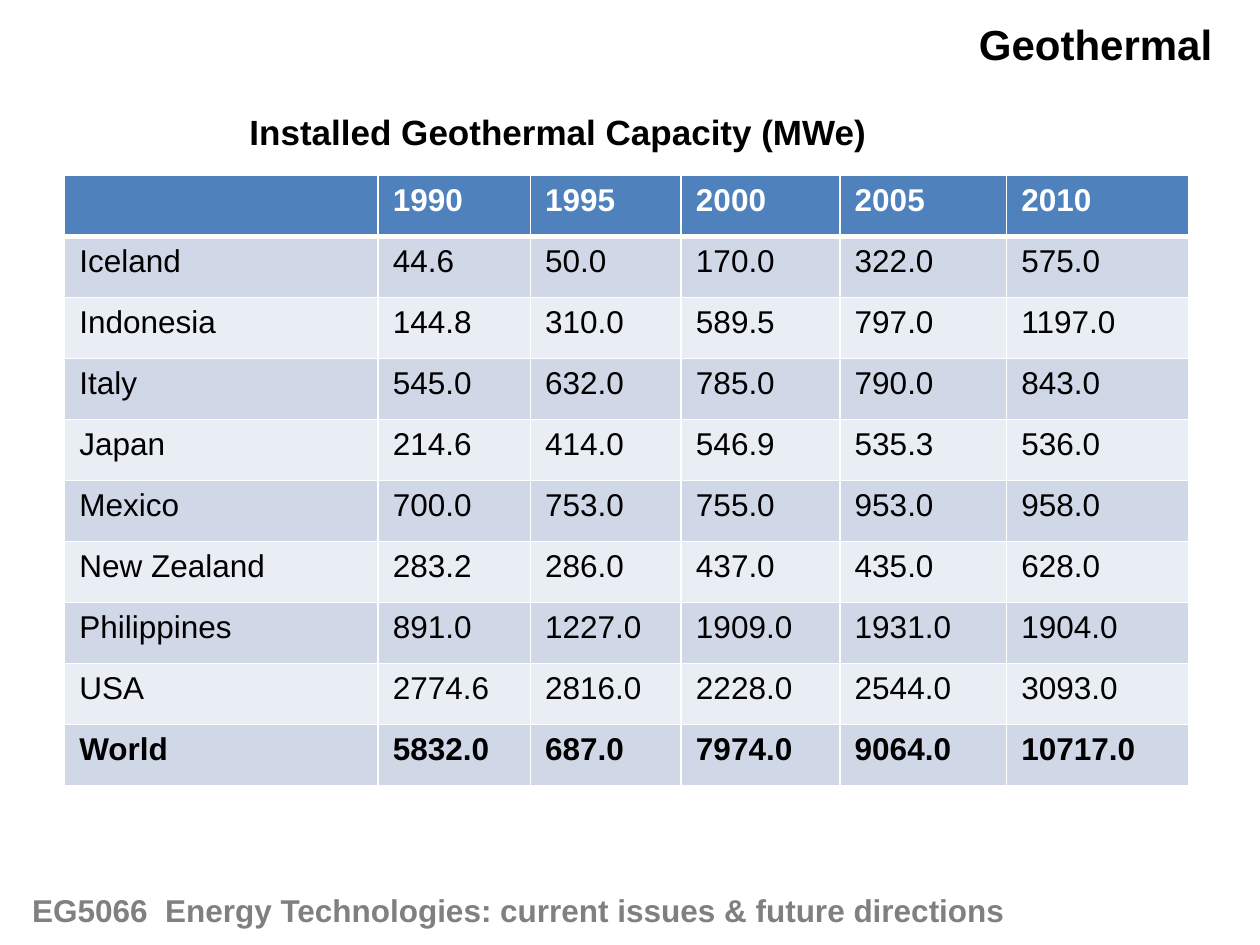
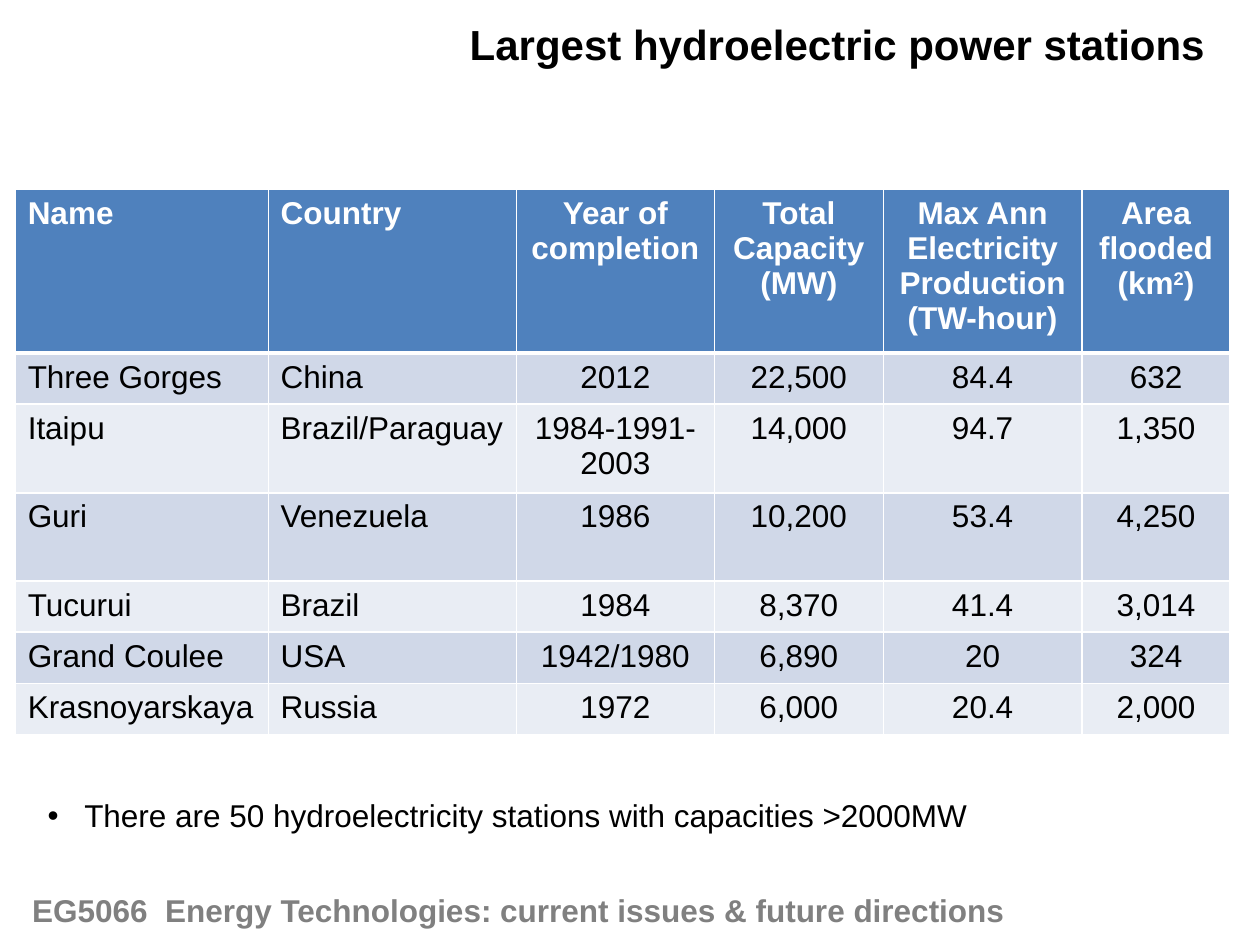
from collections.abc import Sequence
from dataclasses import dataclass

from lxml.etree import SubElement
from pptx import Presentation
from pptx.dml.color import RGBColor
from pptx.enum.text import MSO_AUTO_SIZE, PP_ALIGN
from pptx.oxml.ns import qn
from pptx.slide import Slide
from pptx.table import _Cell
from pptx.text.text import TextFrame
from pptx.util import Cm, Pt

FONT = "Arial"
COLORS = {
    "ink": "000000",
    "white": "FFFFFF",
    "footer": "808080",
    "header": "4F81BD",
    "odd_row": "D0D8E8",
    "even_row": "E9EDF4",
}
FOOTER = "EG5066\tEnergy Technologies: current issues & future directions"


@dataclass
class Box:
    """A place on the slide, in centimetres."""
    left: float
    top: float
    width: float
    height: float


@dataclass
class DataTable:
    left: float
    top: float
    columns: Sequence[float]
    row_heights: Sequence[float]
    rows: Sequence[Sequence[str]]
    margin_x: float = 0.25
    margin_y: float = 0.13
    centred_from: int = 99      # first column with centred text
    bold_last_row: bool = False


def write_text(frame: TextFrame, text: str, *, size: float = 18, color: str = "ink",
               bold: bool = False, align: PP_ALIGN = PP_ALIGN.LEFT,
               line_spacing: float | None = None, bullet: str = "",
               indent: float = 0, tab: float = 0) -> None:
    """Fill a frame; line breaks start paragraphs, ^ marks enclose superscript."""
    for number, line in enumerate(text.split("\n")):
        paragraph = frame.add_paragraph() if number else frame.paragraphs[0]
        properties = paragraph._p.get_or_add_pPr()
        if bullet:
            properties.set("marL", str(Cm(indent)))
            properties.set("indent", str(-Cm(indent)))
            SubElement(properties, qn("a:buFont"), typeface=FONT)
            SubElement(properties, qn("a:buChar"), char=bullet)
        if tab:
            stops = SubElement(properties, qn("a:tabLst"))
            SubElement(stops, qn("a:tab"), pos=str(Cm(tab)), algn="l")
        paragraph.alignment = align
        if line_spacing:
            paragraph.line_spacing = line_spacing
        for part, words in enumerate(line.split("^")):
            run = paragraph.add_run()
            run.text = words
            run.font.name = FONT
            run.font.size = Pt(size)
            run.font.bold = bold
            run.font.color.rgb = RGBColor.from_string(COLORS[color])
            if part % 2:
                run._r.get_or_add_rPr().set("baseline", "30000")


def add_text(slide: Slide, box: Box, text: str, *, wrap: bool = True, **style) -> None:
    label = slide.shapes.add_textbox(Cm(box.left), Cm(box.top), Cm(box.width), Cm(box.height))
    label.text_frame.word_wrap = wrap
    label.text_frame.auto_size = MSO_AUTO_SIZE.SHAPE_TO_FIT_TEXT
    write_text(label.text_frame, text, **style)


def set_borders(cell: _Cell, top: float, bottom: float) -> None:
    properties = cell._tc.get_or_add_tcPr()
    for side, width in (("L", 1), ("R", 1), ("T", top), ("B", bottom)):
        line = SubElement(properties, qn(f"a:ln{side}"), w=str(Pt(width)))
        fill = SubElement(line, qn("a:solidFill"))
        SubElement(fill, qn("a:srgbClr"), val=COLORS["white"])


def add_data_table(slide: Slide, data: DataTable) -> None:
    table = slide.shapes.add_table(
        len(data.rows), len(data.columns), Cm(data.left), Cm(data.top),
        Cm(sum(data.columns)), Cm(sum(data.row_heights))).table
    for column, width in zip(table.columns, data.columns):
        column.width = Cm(width)
    for row, height in zip(table.rows, data.row_heights):
        row.height = Cm(height)

    for r, values in enumerate(data.rows):
        is_header = r == 0
        is_total = data.bold_last_row and r == len(data.rows) - 1
        band = "header" if is_header else "odd_row" if r % 2 else "even_row"
        for c, value in enumerate(values):
            cell = table.cell(r, c)
            set_borders(cell, top=3 if r == 1 else 1, bottom=3 if is_header else 1)
            cell.fill.solid()
            cell.fill.fore_color.rgb = RGBColor.from_string(COLORS[band])
            cell.margin_left = cell.margin_right = Cm(data.margin_x)
            cell.margin_top = cell.margin_bottom = Cm(data.margin_y)
            if value:
                write_text(cell.text_frame, value, bold=is_header or is_total,
                           color="white" if is_header else "ink",
                           align=PP_ALIGN.CENTER if c >= data.centred_from else PP_ALIGN.LEFT)


def add_titled_slide(deck, title: str, title_left: float, title_width: float,
                     align: PP_ALIGN) -> Slide:
    """Start a slide with the shared title style and course footer."""
    slide = deck.slides.add_slide(deck.slide_layouts[6])
    add_text(slide, Box(title_left, 0.25, title_width, 1.28), title,
             wrap=False, size=24, bold=True, align=align)
    add_text(slide, Box(0.4, 17.83, 21.82, 1.02), FOOTER,
             color="footer", bold=True, tab=2.68)
    return slide


GEOTHERMAL_CAPACITY = DataTable(
    left=1.3, top=3.54,
    columns=(6.32, 3.07, 3.04, 3.2, 3.36, 3.68),
    row_heights=[1.23] * 10,
    margin_x=0.3, margin_y=0.15, bold_last_row=True,
    rows=(
        ("", "1990", "1995", "2000", "2005", "2010"),
        ("Iceland", "44.6", "50.0", "170.0", "322.0", "575.0"),
        ("Indonesia", "144.8", "310.0", "589.5", "797.0", "1197.0"),
        ("Italy", "545.0", "632.0", "785.0", "790.0", "843.0"),
        ("Japan", "214.6", "414.0", "546.9", "535.3", "536.0"),
        ("Mexico", "700.0", "753.0", "755.0", "953.0", "958.0"),
        ("New Zealand", "283.2", "286.0", "437.0", "435.0", "628.0"),
        ("Philippines", "891.0", "1227.0", "1909.0", "1931.0", "1904.0"),
        ("USA", "2774.6", "2816.0", "2228.0", "2544.0", "3093.0"),
        ("World", "5832.0", "687.0", "7974.0", "9064.0", "10717.0"),
    ),
)

POWER_STATIONS = DataTable(
    left=0.31, top=3.81,
    columns=(5.1, 5, 3.99, 3.41, 4, 2.99),
    row_heights=(3.28, 1.03, 1.78, 1.78, 1.03, 1.03, 1.03),
    centred_from=2,
    rows=(
        ("Name", "Country", "Year of completion", "Total Capacity\n(MW)",
         "Max Ann Electricity Production (TW-hour)", "Area flooded\n(km^2^)"),
        ("Three Gorges", "China", "2012", "22,500", "84.4", "632"),
        ("Itaipu", "Brazil/Paraguay", "1984-1991-2003", "14,000", "94.7", "1,350"),
        ("Guri", "Venezuela", "1986", "10,200", "53.4", "4,250"),
        ("Tucurui", "Brazil", "1984", "8,370", "41.4", "3,014"),
        ("Grand Coulee", "USA", "1942/1980", "6,890", "20", "324"),
        ("Krasnoyarskaya", "Russia", "1972", "6,000", "20.4", "2,000"),
    ),
)


def main() -> None:
    deck = Presentation()
    deck.slide_width, deck.slide_height = Cm(25.4), Cm(19.05)

    # Geothermal capacity by country
    geothermal = add_titled_slide(deck, "Geothermal", 19.48, 5.21, PP_ALIGN.RIGHT)
    add_data_table(geothermal, GEOTHERMAL_CAPACITY)
    add_text(geothermal, Box(4.78, 1.98, 15.7, 1.32), "Installed Geothermal Capacity (MWe)",
             size=20, bold=True, line_spacing=1.15)

    # Hydroelectric stations
    hydro = add_titled_slide(deck, "Largest hydroelectric power stations",
                             9.22, 15.47, PP_ALIGN.LEFT)
    add_data_table(hydro, POWER_STATIONS)
    add_text(hydro, Box(0.71, 15.93, 19.23, 1.02),
             "There are 50 hydroelectricity stations with capacities >2000MW",
             wrap=False, bullet="•", indent=0.74)

    deck.save("out.pptx")


if __name__ == "__main__":
    main()
